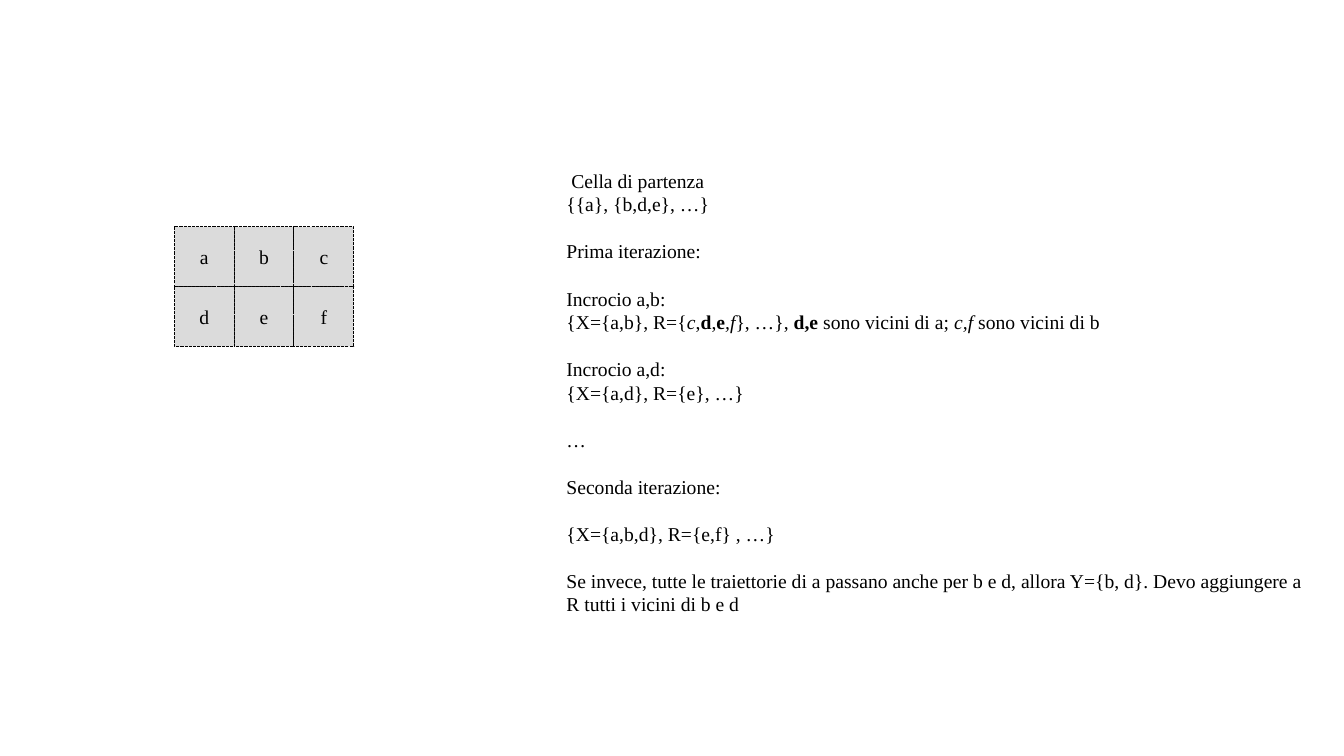
from lxml.etree import SubElement
from pptx import Presentation
from pptx.dml.color import RGBColor
from pptx.enum.dml import MSO_LINE
from pptx.enum.shapes import MSO_SHAPE
from pptx.enum.text import MSO_ANCHOR, PP_ALIGN
from pptx.oxml.ns import qn
from pptx.util import Pt

EMU_PER_PX = 9525
COLORS = {"ink": "000000", "cell": "A6A6A6"}
FONT = "Times New Roman"
FONT_SIZE = Pt(14)
LINE_HEIGHT = Pt(16.8)
CELL_ROWS = ["abc", "def"]
CELL_SIZE = 57
GRID_LEFT, GRID_TOP = 166, 216
PLAIN, BOLD, ITALIC = "plain", "bold", "italic"

NOTE_BLOCKS = [
    [
        [(" Cella di partenza", PLAIN)],
        [("{{a}, {b,d,e}, …}", PLAIN)],
    ],
    [[("Prima iterazione:", PLAIN)]],
    [
        [("Incrocio a,b:", PLAIN)],
        [
            ("{X={a,b}, R={", PLAIN),
            ("c", ITALIC),
            (",", PLAIN),
            ("d", BOLD),
            (",", PLAIN),
            ("e", BOLD),
            (",f", ITALIC),
            ("}, …}, ", PLAIN),
            ("d,e", BOLD),
            (" sono vicini di a; ", PLAIN),
            ("c,f", ITALIC),
            (" sono vicini di b", PLAIN),
        ],
    ],
    [
        [("Incrocio a,d:", PLAIN)],
        [("{X={a,d}, R={e}, …}", PLAIN)],
    ],
    [[("…", PLAIN)]],
    [[("Seconda iterazione:", PLAIN)]],
    [[("{X={a,b,d}, R={e,f} , …}", PLAIN)]],
    [
        [
            (
                "Se invece, tutte le traiettorie di a passano anche per b e d, "
                "allora Y={b, d}. Devo aggiungere a R tutti i vicini di b e d",
                PLAIN,
            )
        ]
    ],
]


def px(*lengths):
    """Turn pixel lengths into EMU."""
    return [length * EMU_PER_PX for length in lengths]


def color(name):
    """Look up a named colour."""
    return RGBColor.from_string(COLORS[name])


def add_run(paragraph, text, style=PLAIN):
    """Add one run in the slide font."""
    run = paragraph.add_run()
    run.text = text
    run.font.name = FONT
    run.font.size = FONT_SIZE
    run.font.color.rgb = color("ink")
    run.font.bold = style == BOLD
    run.font.italic = style == ITALIC


def add_cell(slide, left, top, letter):
    """Add a translucent dashed square with a centred letter."""
    shape = slide.shapes.add_shape(
        MSO_SHAPE.RECTANGLE, *px(left, top, CELL_SIZE, CELL_SIZE)
    )
    shape.shadow.inherit = False
    shape.fill.solid()
    shape.fill.fore_color.rgb = color("cell")
    fill_color = shape.fill._xPr.find(qn("a:solidFill"))[0]
    SubElement(fill_color, qn("a:alpha"), val="40000")
    shape.line.color.rgb = color("ink")
    shape.line.width = Pt(0.75)
    shape.line.dash_style = MSO_LINE.SQUARE_DOT
    shape.text_frame.vertical_anchor = MSO_ANCHOR.MIDDLE
    paragraph = shape.text_frame.paragraphs[0]
    paragraph.alignment = PP_ALIGN.CENTER
    add_run(paragraph, letter)


def add_grid(slide):
    """Lay out the lettered cells row by row."""
    for row, letters in enumerate(CELL_ROWS):
        for column, letter in enumerate(letters):
            left = GRID_LEFT + column * CELL_SIZE
            add_cell(slide, left, GRID_TOP + row * CELL_SIZE, letter)


def add_notes(slide, left, top, width, height):
    """Add the iteration steps with one line of space between blocks."""
    frame = slide.shapes.add_textbox(*px(left, top, width, height)).text_frame
    frame.word_wrap = True
    for block_index, block in enumerate(NOTE_BLOCKS):
        for line_index, runs in enumerate(block):
            first = block_index == line_index == 0
            paragraph = frame.paragraphs[0] if first else frame.add_paragraph()
            paragraph.line_spacing = LINE_HEIGHT
            if line_index == 0 and not first:
                paragraph.space_before = LINE_HEIGHT
            for text, style in runs:
                add_run(paragraph, text, style)


def main():
    """Build and save the slide."""
    presentation = Presentation()
    presentation.slide_width, presentation.slide_height = px(1280, 720)
    slide = presentation.slides.add_slide(presentation.slide_layouts[6])
    add_grid(slide)
    add_notes(slide, 530, 156, 723, 539)
    presentation.save("out.pptx")


if __name__ == "__main__":
    main()
